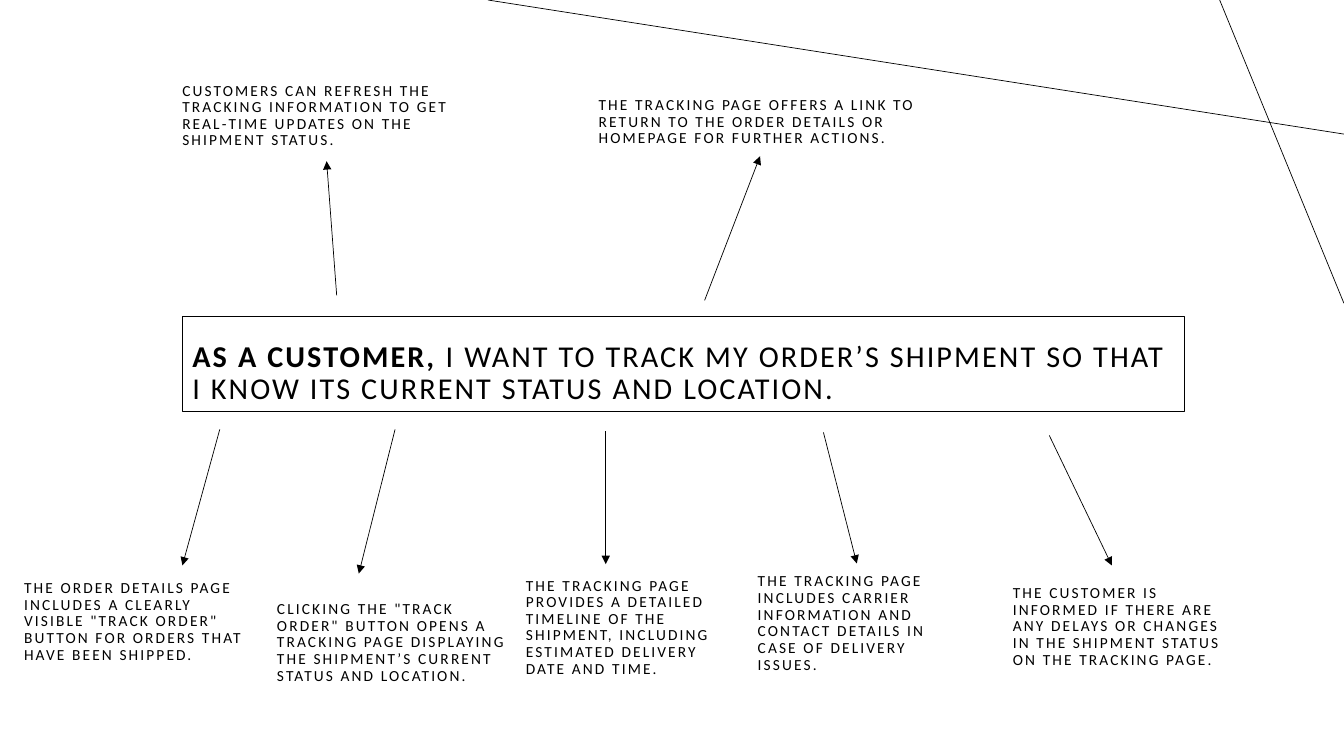
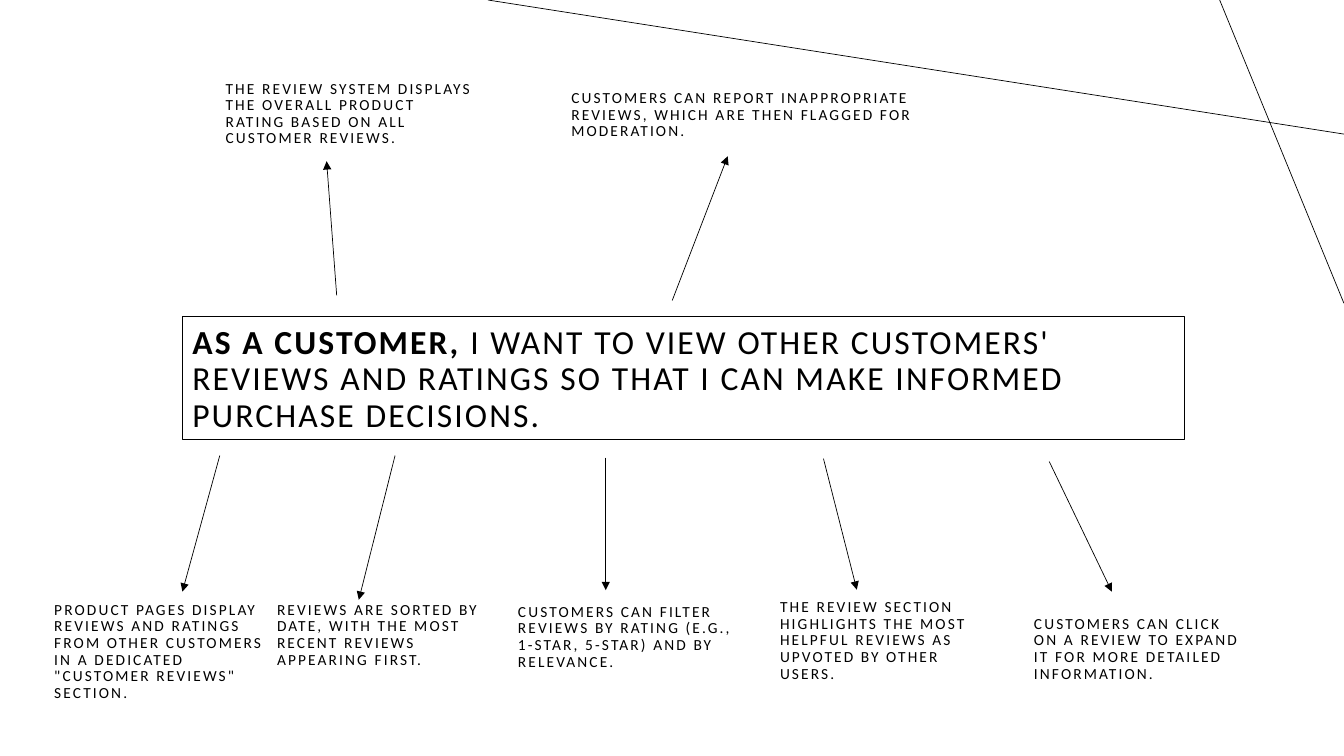
from collections import namedtuple

import pptx
import pptx.dml.color
import pptx.enum.shapes
import pptx.enum.text
import pptx.oxml.ns
import pptx.oxml.xmlchemy
import pptx.util

Pt = pptx.util.Pt
Box = namedtuple("Box", "left top width height")
Note = namedtuple("Note", "box text")
Story = namedtuple("Story", "title_box title_size goal arrow_gap second_arrow_x lower_notes upper_notes")

BLACK = pptx.dml.color.RGBColor(0, 0, 0)
WHITE = pptx.dml.color.RGBColor(255, 255, 255)
FONT = "Calibri"
LETTER_SPACING = 1.5
LINE_SPACING = 0.9
NOTE_SIZE = 11
THIN = 0.5
SLIDE_BOX = Box(0, 0, 960, 540)
ROLE = "AS A CUSTOMER, "

CORNER_LINES = [((960, 95.8), (348.5, 0)), ((871.2, 0), (960, 216.7))]
LOWER_ARROWS = [
    ((26.7, 0), (0, 97.2)),
    ((151.9, 0), (126, 103)),
    ((302.4, 1.5), (302.4, 96.2)),
    ((457.9, 2.2), (481.7, 95.8)),
    ((619.2, 4.3), (663.9, 97.2)),
]
FIRST_UPPER_ARROW = ((110.2, -15.1), (103, -110.9))
SECOND_UPPER_ARROW = ((0, -11.5), (39.6, -114.5))

STORIES = [
    Story(
        Box(130.3, 226.1, 715.7, 67.7), 21.6,
        "I WANT TO TRACK MY ORDER’S SHIPMENT SO THAT I KNOW ITS CURRENT STATUS AND LOCATION.",
        12.9, 503.3,
        [
            Note(Box(10.1, 409.7, 181.4, 67.7),
                 'THE ORDER DETAILS PAGE INCLUDES A CLEARLY VISIBLE "TRACK ORDER" BUTTON '
                 "FOR ORDERS THAT HAVE BEEN SHIPPED."),
            Note(Box(190.8, 399.6, 177.8, 92.9),
                 'CLICKING THE "TRACK ORDER" BUTTON OPENS A TRACKING PAGE DISPLAYING '
                 "THE SHIPMENT’S CURRENT STATUS AND LOCATION."),
            Note(Box(368.6, 409.7, 154.1, 77.8),
                 "THE TRACKING PAGE PROVIDES A DETAILED TIMELINE OF THE SHIPMENT, "
                 "INCLUDING ESTIMATED DELIVERY DATE AND TIME."),
            Note(Box(534.2, 409.7, 165.6, 74.9),
                 "THE TRACKING PAGE INCLUDES CARRIER INFORMATION AND CONTACT DETAILS "
                 "IN CASE OF DELIVERY ISSUES."),
            Note(Box(716.4, 413.3, 177.8, 67.7),
                 "THE CUSTOMER IS INFORMED IF THERE ARE ANY DELAYS OR CHANGES "
                 "IN THE SHIPMENT STATUS ON THE TRACKING PAGE."),
        ],
        [
            Note(Box(123.1, 42.5, 219.6, 67.7),
                 "CUSTOMERS CAN REFRESH THE TRACKING INFORMATION TO GET REAL-TIME UPDATES "
                 "ON THE SHIPMENT STATUS."),
            Note(Box(420.5, 55.4, 267.8, 53.3),
                 "THE TRACKING PAGE OFFERS A LINK TO RETURN TO THE ORDER DETAILS OR HOMEPAGE "
                 "FOR FURTHER ACTIONS."),
        ],
    ),
    Story(
        Box(130.3, 226.1, 715.7, 87.8), 24,
        "I WANT TO VIEW OTHER CUSTOMERS' REVIEWS AND RATINGS SO THAT I CAN MAKE "
        "INFORMED PURCHASE DECISIONS.",
        11.5, 480.2,
        [
            Note(Box(31.7, 428.4, 165.6, 76.3),
                 "PRODUCT PAGES DISPLAY REVIEWS AND RATINGS FROM OTHER CUSTOMERS "
                 'IN A DEDICATED "CUSTOMER REVIEWS" SECTION.'),
            Note(Box(190.8, 428.4, 172.1, 52.6),
                 "REVIEWS ARE SORTED BY DATE, WITH THE MOST RECENT REVIEWS APPEARING FIRST."),
            Note(Box(362.9, 429.8, 172.1, 52.6),
                 "CUSTOMERS CAN FILTER REVIEWS BY RATING (E.G., 1-STAR, 5-STAR) AND BY RELEVANCE."),
            Note(Box(550.1, 428.4, 165.6, 62.6),
                 "THE REVIEW SECTION HIGHLIGHTS THE MOST HELPFUL REVIEWS AS UPVOTED BY OTHER USERS."),
            Note(Box(731.5, 423.4, 165.6, 67.7),
                 "CUSTOMERS CAN CLICK ON A REVIEW TO EXPAND IT FOR MORE DETAILED INFORMATION."),
        ],
        [
            Note(Box(154.1, 43.9, 195.8, 64.8),
                 "THE REVIEW SYSTEM DISPLAYS THE OVERALL PRODUCT RATING BASED ON ALL CUSTOMER REVIEWS."),
            Note(Box(401, 49, 279.4, 54.7),
                 "CUSTOMERS CAN REPORT INAPPROPRIATE REVIEWS, WHICH ARE THEN FLAGGED FOR MODERATION."),
        ],
    ),
]


def add_line(slide, left, top, ends, arrow=False):
    (x1, y1), (x2, y2) = ends
    connector = slide.shapes.add_connector(
        pptx.enum.shapes.MSO_CONNECTOR.STRAIGHT,
        Pt(left + x1), Pt(top + y1), Pt(left + x2), Pt(top + y2))
    connector.line.color.rgb = BLACK
    connector.line.width = Pt(THIN)
    properties = connector._element.find(pptx.oxml.ns.qn("p:spPr"))
    if arrow:
        head = pptx.oxml.xmlchemy.OxmlElement("a:tailEnd")
        head.set("type", "triangle")
        properties.find(pptx.oxml.ns.qn("a:ln")).append(head)
    properties.append(pptx.oxml.xmlchemy.OxmlElement("a:effectLst"))


def write_text(shape, size, parts):
    text_frame = shape.text_frame
    text_frame.word_wrap = True
    text_frame.vertical_anchor = pptx.enum.text.MSO_ANCHOR.BOTTOM
    paragraph = text_frame.paragraphs[0]
    paragraph.alignment = pptx.enum.text.PP_ALIGN.LEFT
    paragraph.line_spacing = LINE_SPACING
    for text, bold in parts:
        run = paragraph.add_run()
        run.text = text
        run.font.name = FONT
        run.font.size = Pt(size)
        run.font.bold = bold
        run.font.color.rgb = BLACK
        run._r.get_or_add_rPr().set("spc", str(int(LETTER_SPACING * 100)))


def add_corner_lines(slide, box):
    for ends in CORNER_LINES:
        add_line(slide, box.left, box.top, ends)


def add_title(slide, box, size, goal):
    shape = slide.shapes.add_shape(
        pptx.enum.shapes.MSO_SHAPE.RECTANGLE, *map(Pt, box))
    shape.shadow.inherit = False
    shape.fill.solid()
    shape.fill.fore_color.rgb = WHITE
    shape.line.color.rgb = BLACK
    shape.line.width = Pt(1)
    write_text(shape, size, [(ROLE, True), (goal, False)])


def add_note(slide, note):
    shape = slide.shapes.add_textbox(*map(Pt, note.box))
    write_text(shape, NOTE_SIZE, [(note.text, False)])


def add_arrows(slide, box, gap, second_arrow_x):
    for ends in LOWER_ARROWS:
        add_line(slide, box.left, box.top + box.height + gap, ends, arrow=True)
    add_line(slide, box.left, box.top, FIRST_UPPER_ARROW, arrow=True)
    add_line(slide, second_arrow_x, box.top, SECOND_UPPER_ARROW, arrow=True)


def add_story_slide(presentation, story):
    slide = presentation.slides.add_slide(presentation.slide_layouts[6])
    add_corner_lines(slide, SLIDE_BOX)
    add_title(slide, story.title_box, story.title_size, story.goal)
    add_arrows(slide, story.title_box, story.arrow_gap, story.second_arrow_x)
    for note in story.lower_notes + story.upper_notes:
        add_note(slide, note)


def main():
    presentation = pptx.Presentation()
    presentation.slide_width = Pt(SLIDE_BOX.width)
    presentation.slide_height = Pt(SLIDE_BOX.height)
    for story in STORIES:
        add_story_slide(presentation, story)
    presentation.save("out.pptx")


if __name__ == "__main__":
    main()
